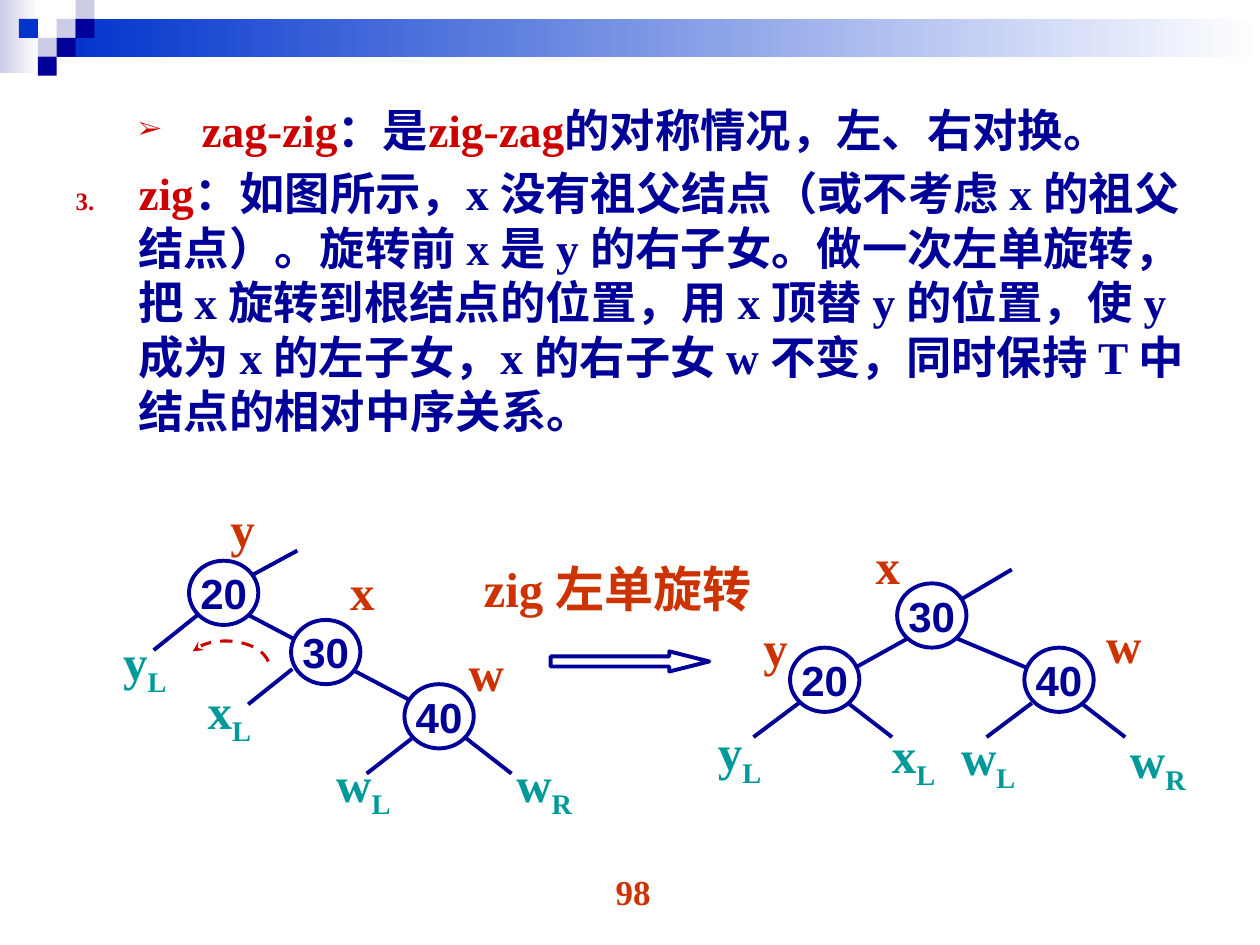
from lxml import etree
from pptx import Presentation
from pptx import util as u
from pptx.dml import color
from pptx.enum import dml, shapes, text
from pptx.oxml import ns

COLORS = {"navy": "000099", "blue": "0033CC", "pale": "CCCCE6", "white": "FFFFFF",
          "red": "CC0000", "orange": "CC3300", "teal": "009999"}
SERIF = "Times New Roman"
NODE = (0.55, 0.51)
LETTER_WIDTHS = {"x": 0.42, "y": 0.42, "w": 0.52}

BEFORE = {
    "branches": [(1.09, 0.98, 2.74, 1.85), (0.69, 0.98, 0.34, 1.26), (1.44, 1.41, 1.09, 1.69),
                 (2.39, 1.96, 2.03, 2.24), (2.82, 1.96, 3.18, 2.24), (1.48, 0.47, 1.13, 0.66)],
    "nodes": [("20", 0.62, 0.55), ("30", 1.43, 1.02), ("40", 2.33, 1.53)],
    "labels": [("y", 0.85, 0.01), ("x", 1.8, 0.51), ("w", 2.74, 1.15), ("yL", 0, 1.06),
               ("xL", 0.67, 1.45), ("wL", 1.69, 2.03), ("wR", 3.12, 2.03)],
}
AFTER = {
    "branches": [(1.6, 0.77, 0.97, 1.12), (2, 0.77, 2.55, 1), (2.98, 1.28, 3.33, 1.55),
                 (2.59, 1.28, 2.23, 1.55), (1.13, 1.28, 1.48, 1.55), (0.74, 1.28, 0.38, 1.55),
                 (2.43, 0.22, 2.04, 0.45)],
    "nodes": [("30", 1.52, 0.33), ("20", 0.67, 0.84), ("40", 2.53, 0.84)],
    "labels": [("x", 1.25, -0.1), ("y", 0.36, 0.55), ("w", 3.08, 0.53), ("yL", 0, 1.38),
               ("xL", 1.38, 1.4), ("wL", 1.93, 1.42), ("wR", 3.27, 1.44)],
}


def rgb(name):
    return color.RGBColor.from_string(COLORS[name])


def inches(*values):
    return [u.Inches(value) for value in values]


def add_span(para, words, size, tint, face=SERIF):
    span = para.add_run()
    span.text = words
    span.font.size = u.Pt(size)
    span.font.name = face
    span.font.bold = True
    span.font.color.rgb = rgb(tint)
    return span


def add_text(owner, box, words, size, tint):
    frame = owner.add_textbox(*inches(*box)).text_frame
    frame.word_wrap = True
    para = frame.paragraphs[0]
    add_span(para, words, size, tint)
    return para


def add_preset(owner, kind, box, fill, line=None):
    shape = owner.add_shape(kind, *inches(*box))
    shape.shadow.inherit = False
    shape.fill.solid()
    shape.fill.fore_color.rgb = rgb(fill)
    if line:
        shape.line.color.rgb = rgb(line)
        shape.line.width = u.Pt(2.25)
    else:
        shape.line.fill.background()
    return shape


def draw_banner(page, box):
    left, top, width, cell = box
    for start, bar in (("pale", (left, top, 0.31, 0.58)),
                       ("blue", (left + 0.45, top + cell, width - 0.45, 2 * cell))):
        shape = add_preset(page.shapes, shapes.MSO_SHAPE.RECTANGLE, bar, start)
        shape.fill.gradient()
        shape.fill.gradient_angle = 0
        for stop, tint, position in zip(shape.fill.gradient_stops, (start, "white"), (0, 1)):
            stop.color.rgb = rgb(tint)
            stop.position = position
    tiles = [(3, 1, "pale"), (4, 0, "pale"), (4, 1, "navy"), (2, 2, "pale"),
             (1, 1, "blue"), (3, 2, "navy"), (2, 3, "navy")]
    for column, row, tint in tiles:
        add_preset(page.shapes, shapes.MSO_SHAPE.RECTANGLE,
                   (left + column * cell, top + row * cell, cell, cell), tint)


def set_bullet(para, margin, tag, **attributes):
    props = para._p.get_or_add_pPr()
    props.set("marL", str(u.Inches(margin)))
    props.set("indent", str(u.Inches(-0.5)))
    props.set("hangingPunct", "0")
    tint = etree.SubElement(props, ns.qn("a:buClr"))
    etree.SubElement(tint, ns.qn("a:srgbClr"), val=COLORS["red"])
    etree.SubElement(props, ns.qn("a:buSzPct"), val="55000")
    etree.SubElement(props, ns.qn("a:buFont"), typeface=SERIF)
    etree.SubElement(props, ns.qn(tag), **attributes)


def fill_body(page, box):
    body = page.placeholders[1]
    body.left, body.top, body.width, body.height = inches(*box)
    frame = body.text_frame
    frame.auto_size = text.MSO_AUTO_SIZE.NONE
    symmetric, single = frame.paragraphs[0], frame.add_paragraph()
    symmetric.level = 1
    set_bullet(symmetric, 1, "a:buChar", char="➢")
    set_bullet(single, 0.5, "a:buAutoNum", type="arabicPeriod", startAt="3")
    spans = [
        (symmetric, "zag-zig", "red"),
        (symmetric, "：是", "navy"),
        (symmetric, "zig-zag", "red"),
        (symmetric, "的对称情况，左、右对换。", "navy"),
        (single, "zig", "red"),
        (single, "：如图所示，x 没有祖父结点（或不考虑 x 的祖父结点）。旋转前 x 是 y 的右子女。"
                 "做一次左单旋转，把 x 旋转到根结点的位置，用 x 顶替 y 的位置，使 y 成为 x 的左子女，"
                 "x 的右子女 w 不变，同时保持 T 中结点的相对中序关系。", "navy"),
    ]
    for para, words, tint in spans:
        add_span(para, words, 25.9, tint)
    for para, gap in ((symmetric, 0), (single, 5.2)):
        para.line_spacing = 1.0
        para.space_before = u.Pt(gap)


def draw_tree(page, box, tree):
    left, top = box
    group = page.shapes.add_group_shape().shapes
    for x1, y1, x2, y2 in tree["branches"]:
        branch = group.add_connector(shapes.MSO_CONNECTOR.STRAIGHT,
                                     *inches(left + x1, top + y1, left + x2, top + y2))
        branch.line.color.rgb = rgb("navy")
        branch.line.width = u.Pt(2.25)
        etree.SubElement(branch._element.spPr, ns.qn("a:effectLst"))
    for key, x, y in tree["nodes"]:
        node = add_preset(group, shapes.MSO_SHAPE.OVAL, (left + x, top + y, *NODE), "white", "navy")
        frame = node.text_frame
        frame.margin_left = frame.margin_right = frame.margin_top = frame.margin_bottom = 0
        frame.word_wrap = False
        frame.vertical_anchor = text.MSO_ANCHOR.MIDDLE
        frame.paragraphs[0].alignment = text.PP_ALIGN.CENTER
        add_span(frame.paragraphs[0], key, 24, "navy", "Arial")
    for name, x, y in tree["labels"]:
        letter, side = name[0], name[1:]
        tint = "teal" if side else "orange"
        width = LETTER_WIDTHS[letter] + 0.25 * len(side)
        para = add_text(group, (left + x, top + y, width, 0.63 if side else 0.57),
                        letter, 28, tint)
        if side:
            span = add_span(para, side, 28, tint)
            span._r.get_or_add_rPr().set("baseline", "-25000")


def draw_turn(page, box):
    left, top = box
    controls = [(0.6, 0.16), (0.52, -0.03), (0.13, -0.05), (0, 0.08)]
    steps = 20
    points = []
    for step in range(steps + 1):
        t = step / steps
        weights = ((1 - t) ** 3, 3 * t * (1 - t) ** 2, 3 * t * t * (1 - t), t ** 3)
        x, y = (sum(w * c[axis] for w, c in zip(weights, controls)) for axis in (0, 1))
        points.append(inches(left + x, top + y))
    builder = page.shapes.build_freeform(*points[0])
    builder.add_line_segments(points[1:], close=False)
    turn = builder.convert_to_shape()
    turn.shadow.inherit = False
    turn.fill.background()
    turn.line.color.rgb = rgb("red")
    turn.line.width = u.Pt(1.75)
    turn.line.dash_style = dml.MSO_LINE.DASH
    etree.SubElement(turn.line._get_or_add_ln(), ns.qn("a:tailEnd"), type="stealth")


def draw_step(page, box):
    left, top = box
    add_text(page.shapes, (left, top, 2.42, 0.57), "zig 左单旋转", 28, "orange")
    arrow = add_preset(page.shapes, shapes.MSO_SHAPE.RIGHT_ARROW,
                       (left + 0.63, top + 0.79, 1.26, 0.16), "white", "navy")
    arrow.adjustments[0], arrow.adjustments[1] = 0.5, 1.99


def main():
    deck = Presentation()
    deck.slide_width, deck.slide_height = inches(10, 7.5)
    page = deck.slides.add_slide(deck.slide_layouts[1])
    title = page.shapes.title._element
    title.getparent().remove(title)
    draw_banner(page, (0, 0, 10, 0.15))
    fill_body(page, (0.5, 0.76, 9, 3.27))
    draw_turn(page, (1.53, 5.09))
    draw_tree(page, (0.88, 3.9), BEFORE)
    draw_step(page, (3.74, 4.38))
    draw_tree(page, (5.6, 4.3), AFTER)
    number = add_text(page.shapes, (3.86, 6.86, 2.33, 0.52), "98", 20, "orange")
    number.alignment = text.PP_ALIGN.CENTER
    deck.save("out.pptx")


if __name__ == "__main__":
    main()
